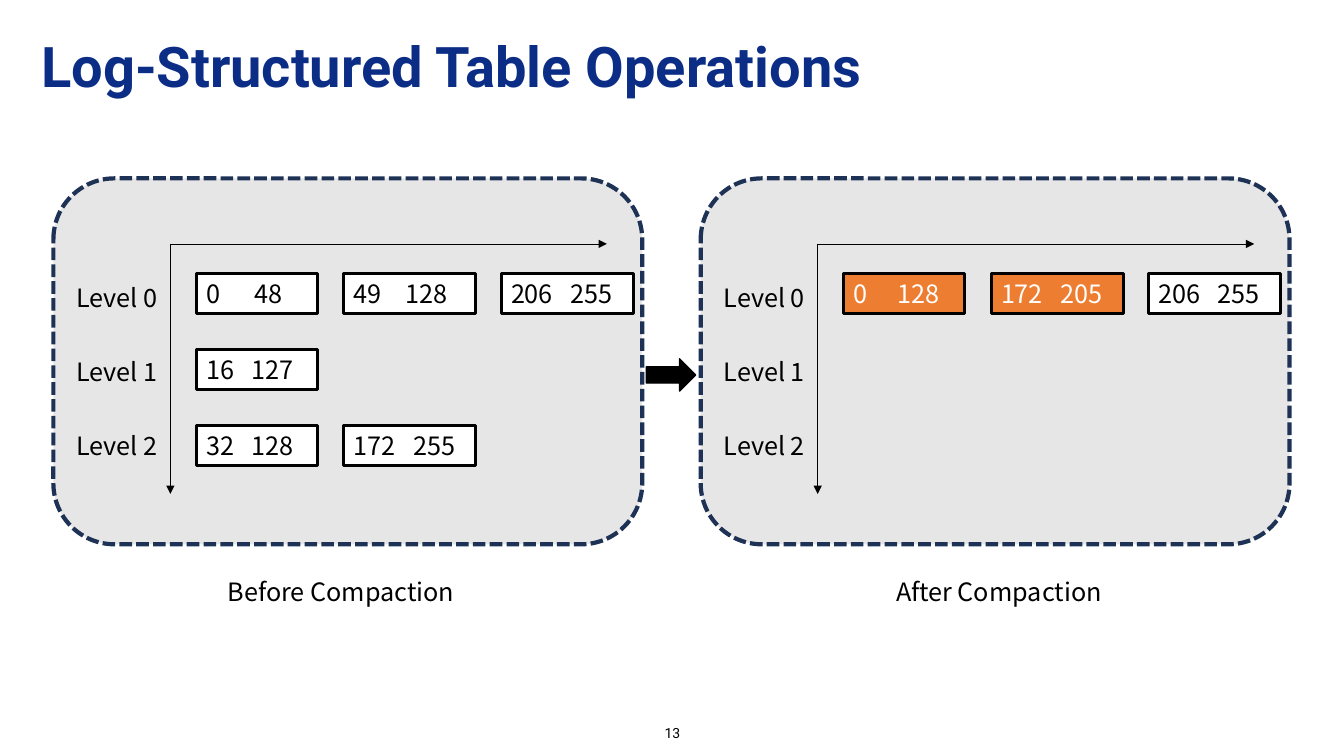
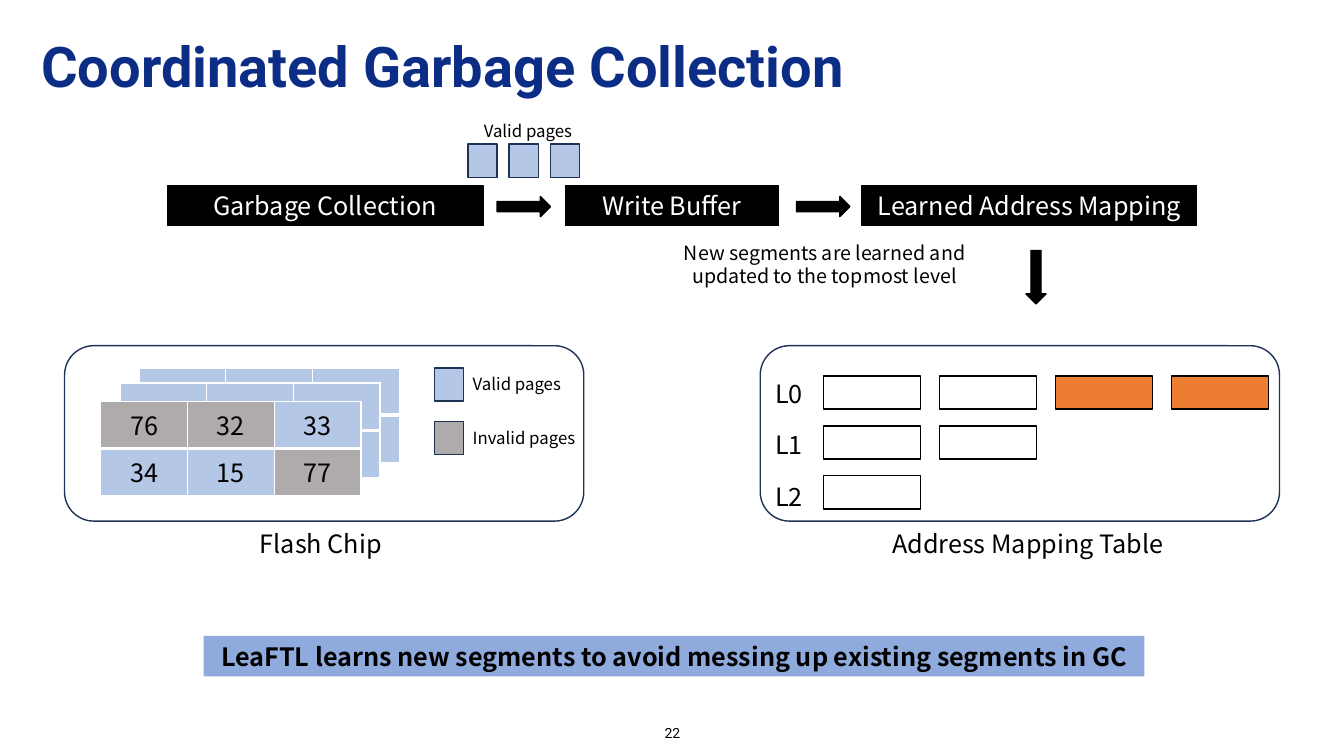
import pptx
import pptx.util
import pptx.dml.color
import pptx.enum.dml
import pptx.enum.shapes
import pptx.enum.text
import pptx.oxml.ns
from lxml import etree
from pptx.util import Inches, Pt

TITLE_FONT = "Roboto"
BODY_FONT = "Noto Sans CJK KR"
BLACK, WHITE = "000000", "FFFFFF"
TITLE_BLUE, NAVY = "0B2D86", "1E3256"
PANEL_GREY, ORANGE = "E7E6E6", "ED7D31"
VALID, INVALID = "B4C7E7", "AFABAB"
BANNER_BLUE = "8FAADC"

SHAPES = pptx.enum.shapes.MSO_SHAPE
ANCHOR = pptx.enum.text.MSO_ANCHOR
LEFT = pptx.enum.text.PP_ALIGN.LEFT
CENTER = pptx.enum.text.PP_ALIGN.CENTER


# Shared helpers
def rgb(value):
    return pptx.dml.color.RGBColor.from_string(value)


def add_xml(parent, tag, **attributes):
    return etree.SubElement(parent, pptx.oxml.ns.qn(tag), attributes)


def style_paragraph(paragraph, size, color=BLACK, align=LEFT, font=BODY_FONT, bold=False):
    paragraph.alignment = align
    paragraph.font.name = font
    paragraph.font.size = Pt(size)
    paragraph.font.bold = bold
    paragraph.font.color.rgb = rgb(color)


def write(owner, text, size=18, color=BLACK, align=LEFT, font=BODY_FONT, bold=False,
          anchor=ANCHOR.TOP, grow=True, tab=None):
    frame = owner.text_frame
    frame.word_wrap = True
    frame.vertical_anchor = anchor
    sizing = pptx.enum.text.MSO_AUTO_SIZE
    frame.auto_size = sizing.SHAPE_TO_FIT_TEXT if grow else sizing.NONE
    paragraph = frame.paragraphs[0]
    paragraph.text = text
    if tab:
        tabs = add_xml(paragraph._p.get_or_add_pPr(), "a:tabLst")
        add_xml(tabs, "a:tab", pos=str(Inches(tab)), algn="l")
    style_paragraph(paragraph, size, color, align, font, bold)
    return paragraph


def add_label(slide, text, x, y, width, height=0.4, **style):
    label = slide.shapes.add_textbox(Inches(x), Inches(y), Inches(width), Inches(height))
    return write(label, text, **style)


def add_box(slide, x, y, width, height, fill=None, line=BLACK, weight=1, kind=SHAPES.RECTANGLE):
    box = slide.shapes.add_shape(kind, Inches(x), Inches(y), Inches(width), Inches(height))
    box.shadow.inherit = False
    if fill:
        box.fill.solid()
        box.fill.fore_color.rgb = rgb(fill)
    else:
        box.fill.background()
    if line:
        box.line.color.rgb = rgb(line)
        box.line.width = Pt(weight)
    else:
        box.line.fill.background()
    return box


def add_block_arrow(slide, x, y, width=0.53, height=0.2, rotation=0):
    arrow = add_box(slide, x, y, width, height, BLACK, kind=SHAPES.RIGHT_ARROW)
    arrow.rotation = rotation


def add_axis(slide, x1, y1, x2, y2):
    axis = slide.shapes.add_connector(
        pptx.enum.shapes.MSO_CONNECTOR.STRAIGHT, Inches(x1), Inches(y1), Inches(x2), Inches(y2))
    axis.line.color.rgb = rgb(BLACK)
    axis.line.width = Pt(0.5)
    add_xml(axis.line._get_or_add_ln(), "a:tailEnd", type="triangle")
    add_xml(axis._element.spPr, "a:effectLst")


def add_slide(deck, title, number):
    slide = deck.slides.add_slide(deck.slide_layouts[6])
    heading = add_label(slide, title, 0.31, 0.23, 9.71, 0.91, size=40, color=TITLE_BLUE,
                        font=TITLE_FONT, bold=True, anchor=ANCHOR.MIDDLE, grow=False)
    heading.line_spacing = 0.9
    add_label(slide, number, 5.17, 7.11, 3, 0.32, size=10, align=CENTER,
              font=TITLE_FONT, anchor=ANCHOR.MIDDLE, grow=False)
    return slide


# Compaction slide
def add_level_panel(slide, x, y, segments, caption, caption_x):
    """Each segment is (level, column, first, last, tab, is_new)."""
    panel = add_box(slide, x, y, 5.84, 3.63, PANEL_GREY, NAVY, 3, SHAPES.ROUNDED_RECTANGLE)
    panel.line.dash_style = pptx.enum.dml.MSO_LINE.SQUARE_DOT
    axis_x, axis_y = x + 1.16, y + 0.65
    add_axis(slide, axis_x, axis_y, axis_x + 4.33, axis_y)
    add_axis(slide, axis_x, axis_y, axis_x, axis_y + 2.48)
    for level in range(3):
        add_label(slide, f"Level {level}", x + 0.13, y + 0.98 + 0.735 * level, 1.16)
    columns = [(1.42, 1.2), (2.88, 1.31), (4.44, 1.31)]
    for level, column, first, last, tab, is_new in segments:
        offset, width = columns[column]
        segment = add_box(slide, x + offset, y + 0.94 + 0.755 * level, width, 0.4,
                          ORANGE if is_new else WHITE, weight=2.25)
        write(segment, f"{first}\t{last}", color=WHITE if is_new else BLACK, tab=tab)
    add_label(slide, caption, x + caption_x, y + 3.9, 2.45)


def build_compaction(deck):
    slide = add_slide(deck, "Log-Structured Table Operations", "13")
    before = [
        (0, 0, 0, 48, 0.48, False), (0, 1, 49, 128, 0.51, False), (0, 2, 206, 255, 0.59, False),
        (1, 0, 16, 127, 0.45, False),
        (2, 0, 32, 128, 0.45, False), (2, 1, 172, 255, 0.59, False),
    ]
    after = [(0, 0, 0, 128, 0.43, True), (0, 1, 172, 205, 0.59, True),
             (0, 2, 206, 255, 0.59, False)]
    add_level_panel(slide, 0.53, 1.77, before, "Before Compaction", 1.63)
    add_block_arrow(slide, 6.41, 3.56, 0.49, 0.32)
    add_level_panel(slide, 6.95, 1.77, after, "After Compaction", 1.84)


# Garbage collection slide
def add_page(slide, x, y, fill=VALID):
    add_box(slide, x, y, 0.29, 0.33, fill, NAVY)


def add_page_table(slide, x, y, rows, invalid=()):
    frame = slide.shapes.add_table(2, 3, Inches(x), Inches(y), Inches(2.58), Inches(0.94))
    table = frame.table
    table.first_row = table.horz_banding = False
    for column in table.columns:
        column.width = Inches(0.86)
    for row_index, row in enumerate(rows):
        table.rows[row_index].height = Inches(0.47)
        for column_index, page in enumerate(row):
            cell = table.cell(row_index, column_index)
            cell.text = page
            style_paragraph(cell.text_frame.paragraphs[0], 18, align=CENTER)
            properties = cell._tc.get_or_add_tcPr()
            middle_edge = "a:lnB" if row_index == 0 else "a:lnT"
            for edge in ("a:lnL", "a:lnR", "a:lnT", "a:lnB"):
                weight = 3 if edge == middle_edge else 1
                border = add_xml(properties, edge, w=str(Pt(weight)))
                add_xml(add_xml(border, "a:solidFill"), "a:srgbClr", val=WHITE)
            cell.fill.solid()
            cell.fill.fore_color.rgb = rgb(INVALID if page in invalid else VALID)


def add_rounded_panel(slide, x, y):
    add_box(slide, x, y, 5.15, 1.74, line=NAVY, kind=SHAPES.ROUNDED_RECTANGLE)


def add_flash_chip(slide, x, y):
    blank_rows = [[""] * 3] * 2
    add_page_table(slide, x + 0.74, y + 0.22, blank_rows)
    add_page_table(slide, x + 0.55, y + 0.37, blank_rows)
    add_page_table(slide, x + 0.36, y + 0.55, [["76", "32", "33"], ["34", "15", "77"]],
                   invalid=("76", "32", "77"))
    add_rounded_panel(slide, x, y)
    legend = [("Valid pages", VALID, 0.22), ("Invalid pages", INVALID, 0.75)]
    for meaning, fill, offset in legend:
        add_page(slide, x + 3.67, y + offset, fill)
        add_label(slide, meaning, x + 3.95, y + offset + 0.01, 1.51, 0.3, size=12)
    add_label(slide, "Flash Chip", x + 1.84, y + 1.76, 2.58)


def add_mapping_table(slide, x, y):
    add_rounded_panel(slide, x, y)
    levels = [[WHITE, WHITE, ORANGE, ORANGE], [WHITE, WHITE], [WHITE]]
    for level, segments in enumerate(levels):
        add_label(slide, f"L{level}", x + 0.05, y + 0.27 + 0.515 * level, 0.53)
        for column, fill in enumerate(segments):
            add_box(slide, x + 0.63 + 1.15 * column, y + 0.3 + 0.495 * level, 0.96, 0.33, fill)
    add_label(slide, "Address Mapping Table", x + 1.21, y + 1.76, 2.91)


def add_write_path(slide, y):
    steps = [("Garbage Collection", 1.66, 3.13), ("Write Buffer", 5.61, 2.11),
             ("Learned Address Mapping", 8.55, 3.32)]
    for step, x, width in steps:
        write(add_box(slide, x, y, width, 0.4, BLACK), step, color=WHITE, align=CENTER)
    for x in (4.93, 7.9):
        add_block_arrow(slide, x, y + 0.11)
    # Pages moved into the buffer
    for index in range(3):
        add_page(slide, 4.64 + 0.41 * index, y - 0.41)
    add_label(slide, "Valid pages", 4.7, y - 0.69, 1.51, 0.3, size=12)
    # Update of the mapping table
    add_label(slide, "New segments are learned and updated to the topmost level",
              6.68, y + 0.5, 3, 0.57, size=14, align=CENTER)
    add_block_arrow(slide, 10.01, y + 0.81, rotation=90)


def build_garbage_collection(deck):
    slide = add_slide(deck, "Coordinated Garbage Collection", "22")
    add_write_path(slide, 1.84)
    add_flash_chip(slide, 0.64, 3.43)
    add_mapping_table(slide, 7.54, 3.43)
    takeaway = add_box(slide, 2.02, 6.31, 9.33, 0.4, BANNER_BLUE, line=None)
    write(takeaway, "LeaFTL learns new segments to avoid messing up existing segments in GC",
          align=CENTER, bold=True)


def main():
    deck = pptx.Presentation()
    deck.slide_width, deck.slide_height = Inches(13.33), Inches(7.5)
    build_compaction(deck)
    build_garbage_collection(deck)
    deck.save("out.pptx")


if __name__ == "__main__":
    main()
